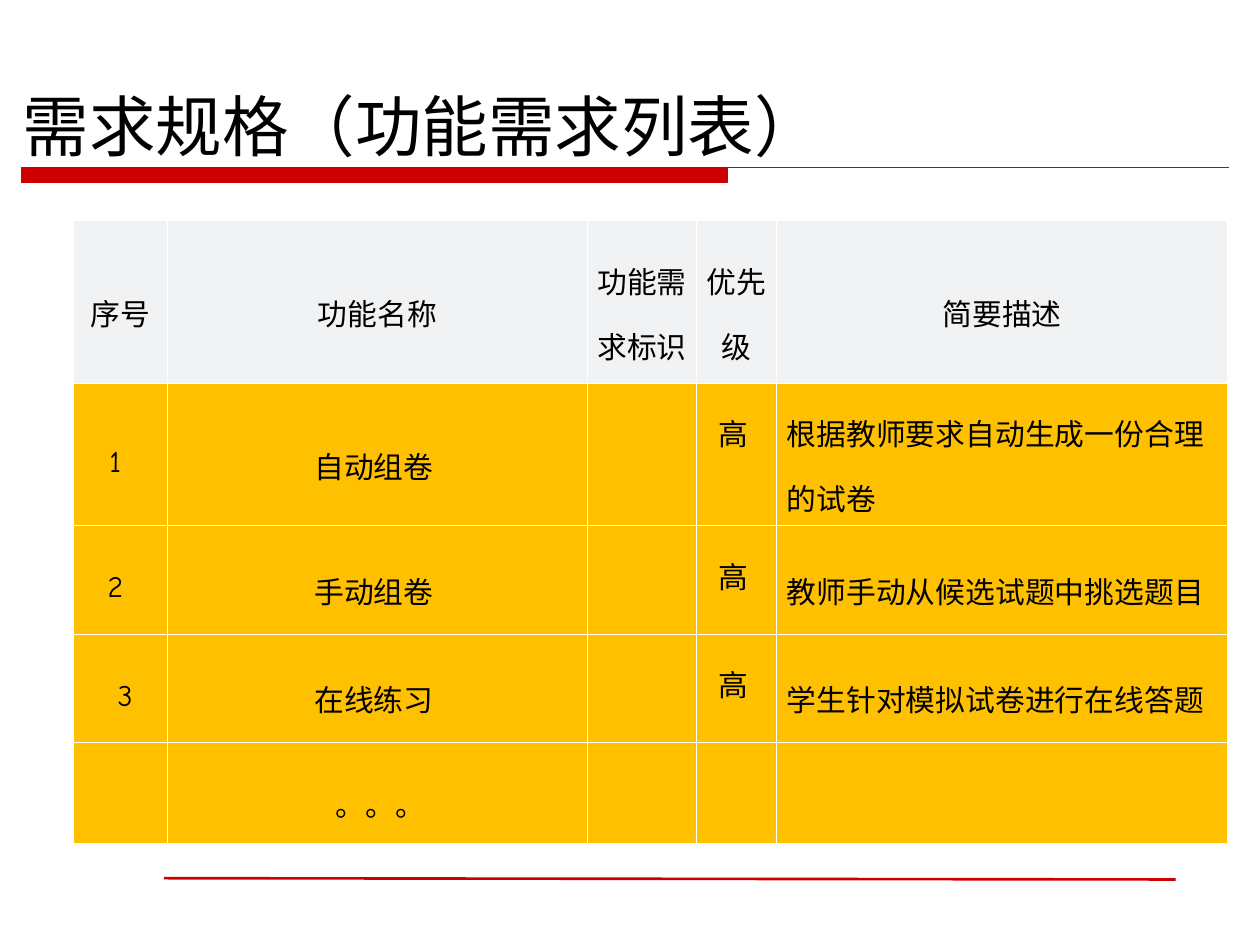
from dataclasses import dataclass

from lxml import etree
from pptx import Presentation
from pptx import util as u
from pptx.dml.color import RGBColor
from pptx.enum import shapes, text
from pptx.oxml import ns


@dataclass(frozen=True)
class Theme:
    red: RGBColor = RGBColor(0xCC, 0x00, 0x00)
    ink: RGBColor = RGBColor(0x00, 0x00, 0x00)
    header: RGBColor = RGBColor(0xF0, 0xF2, 0xF4)
    body: RGBColor = RGBColor(0xFF, 0xC0, 0x00)
    border: RGBColor = RGBColor(0xFF, 0xFF, 0xFF)
    cjk: str = "Noto Sans CJK SC"
    latin: str = "Calibri"
    digits: str = "Comic Neue"
    title_size: float = 38
    table_size: float = 17


@dataclass(frozen=True)
class Column:
    heading: str
    width: float
    font: str
    align: text.PP_ALIGN = text.PP_ALIGN.CENTER
    anchor: text.MSO_ANCHOR = text.MSO_ANCHOR.MIDDLE


THEME = Theme()
WIDTH, HEIGHT = u.Inches(10), u.Inches(7.5)
NBSP = chr(160)

COLUMNS = [
    Column("序号", 7.5, THEME.digits),
    Column("功能名称", 33.3, THEME.latin),
    Column("功能需求标识", 8.7, THEME.cjk),
    Column("优先级", 6.35, THEME.cjk, anchor=text.MSO_ANCHOR.TOP),
    Column("简要描述", 35.8, THEME.latin, text.PP_ALIGN.LEFT),
]
ROW_HEIGHTS = [17.2, 11.47, 11.47, 11.47, 10.67]
ENTRIES = [
    ("1" + NBSP, "自动组卷" + NBSP, "", "高" + NBSP, "根据教师要求自动生成一份合理的试卷" + NBSP),
    ("2" + NBSP, "手动组卷" + NBSP, "", "高" + NBSP, "教师手动从候选试题中挑选题目" + NBSP),
    (NBSP + "3", "在线练习" + NBSP, "", "高" + NBSP, "学生针对模拟试卷进行在线答题" + NBSP),
    ("", NBSP + "。。。", "", "", ""),
]


def across(percent: float) -> int:
    return round(WIDTH * percent / 100)


def down(percent: float) -> int:
    return round(HEIGHT * percent / 100)


def set_values(target, values: dict) -> None:
    for name, value in values.items():
        setattr(target, name, value)


def add_span(para, words: str, size: float, font: str) -> None:
    span = para.add_run()
    span.text = words
    set_values(span.font, {"size": u.Pt(size), "name": font, "bold": False})
    span.font.color.rgb = THEME.ink
    east_asian = etree.SubElement(span.font._element, ns.qn("a:ea"))
    east_asian.set("typeface", THEME.cjk)


def add_title(slide, words: str) -> None:
    title = slide.shapes.title
    set_values(title, {"left": across(0.8), "top": down(7.73),
                       "width": across(93.3), "height": down(10.4)})
    set_values(title.text_frame, {"vertical_anchor": text.MSO_ANCHOR.BOTTOM,
                                  "auto_size": text.MSO_AUTO_SIZE.NONE,
                                  "word_wrap": True})
    para = title.text_frame.paragraphs[0]
    para.alignment = text.PP_ALIGN.LEFT
    add_span(para, words, THEME.title_size, THEME.cjk)


def add_title_rule(slide) -> None:
    """Draw the thick bar whose top edge runs on as a thin line."""
    left, bar_end, line_end = across(1.7), across(57.7), across(97.5)
    top, bottom = down(17.73), down(19.33)
    builder = slide.shapes.build_freeform(left, top)
    builder.add_line_segments([(line_end, top), (bar_end, top),
                               (bar_end, bottom), (left, bottom)])
    rule = builder.convert_to_shape()
    rule.shadow.inherit = False
    rule.fill.solid()
    rule.fill.fore_color.rgb = THEME.red
    rule.line.color.rgb = THEME.red
    rule.line.width = u.Pt(0.75)


def add_footer_line(slide) -> None:
    line = slide.shapes.add_connector(
        shapes.MSO_CONNECTOR.STRAIGHT,
        across(13), down(92.93), across(93.3), down(93.07))
    line.line.color.rgb = THEME.red
    line.line.width = u.Pt(1.5)
    etree.SubElement(line._element.spPr, ns.qn("a:effectLst"))


def add_borders(cell) -> None:
    properties = cell._tc.get_or_add_tcPr()
    for side in ("lnL", "lnR", "lnT", "lnB"):
        edge = etree.SubElement(properties, ns.qn(f"a:{side}"), w=str(u.Pt(0.45)))
        fill = etree.SubElement(edge, ns.qn("a:solidFill"))
        etree.SubElement(fill, ns.qn("a:srgbClr"), val=str(THEME.border))


def format_cell(cell, color: RGBColor, anchor: text.MSO_ANCHOR) -> None:
    set_values(cell, {"margin_left": u.Inches(0.08), "margin_right": u.Inches(0.08),
                      "margin_top": u.Inches(0.05), "margin_bottom": u.Inches(0.05),
                      "vertical_anchor": anchor})
    add_borders(cell)
    cell.fill.solid()
    cell.fill.fore_color.rgb = color


def fill_cell(cell, words: str, font: str, align: text.PP_ALIGN) -> None:
    para = cell.text_frame.paragraphs[0]
    set_values(para, {"alignment": align, "line_spacing": 1.5})
    add_span(para, words, THEME.table_size, font)


def add_requirements(slide) -> None:
    frame = slide.shapes.add_table(
        len(ROW_HEIGHTS), len(COLUMNS), across(5.8), down(23.33),
        across(sum(column.width for column in COLUMNS)), down(sum(ROW_HEIGHTS)))
    table = frame.table
    set_values(table, {"first_row": False, "horz_banding": False})
    for row, height in zip(table.rows, ROW_HEIGHTS):
        row.height = down(height)
    for index, column in enumerate(COLUMNS):
        table.columns[index].width = across(column.width)
        heading = table.cell(0, index)
        format_cell(heading, THEME.header, text.MSO_ANCHOR.MIDDLE)
        fill_cell(heading, column.heading, THEME.cjk, text.PP_ALIGN.CENTER)
        for number, entry in enumerate(ENTRIES, start=1):
            cell = table.cell(number, index)
            format_cell(cell, THEME.body, column.anchor)
            if entry[index]:
                fill_cell(cell, entry[index], column.font, column.align)


def main() -> None:
    deck = Presentation()
    set_values(deck, {"slide_width": WIDTH, "slide_height": HEIGHT})
    slide = deck.slides.add_slide(deck.slide_layouts[5])
    add_title_rule(slide)
    add_footer_line(slide)
    add_title(slide, "需求规格（功能需求列表）")
    add_requirements(slide)
    deck.save("out.pptx")


if __name__ == "__main__":
    main()
